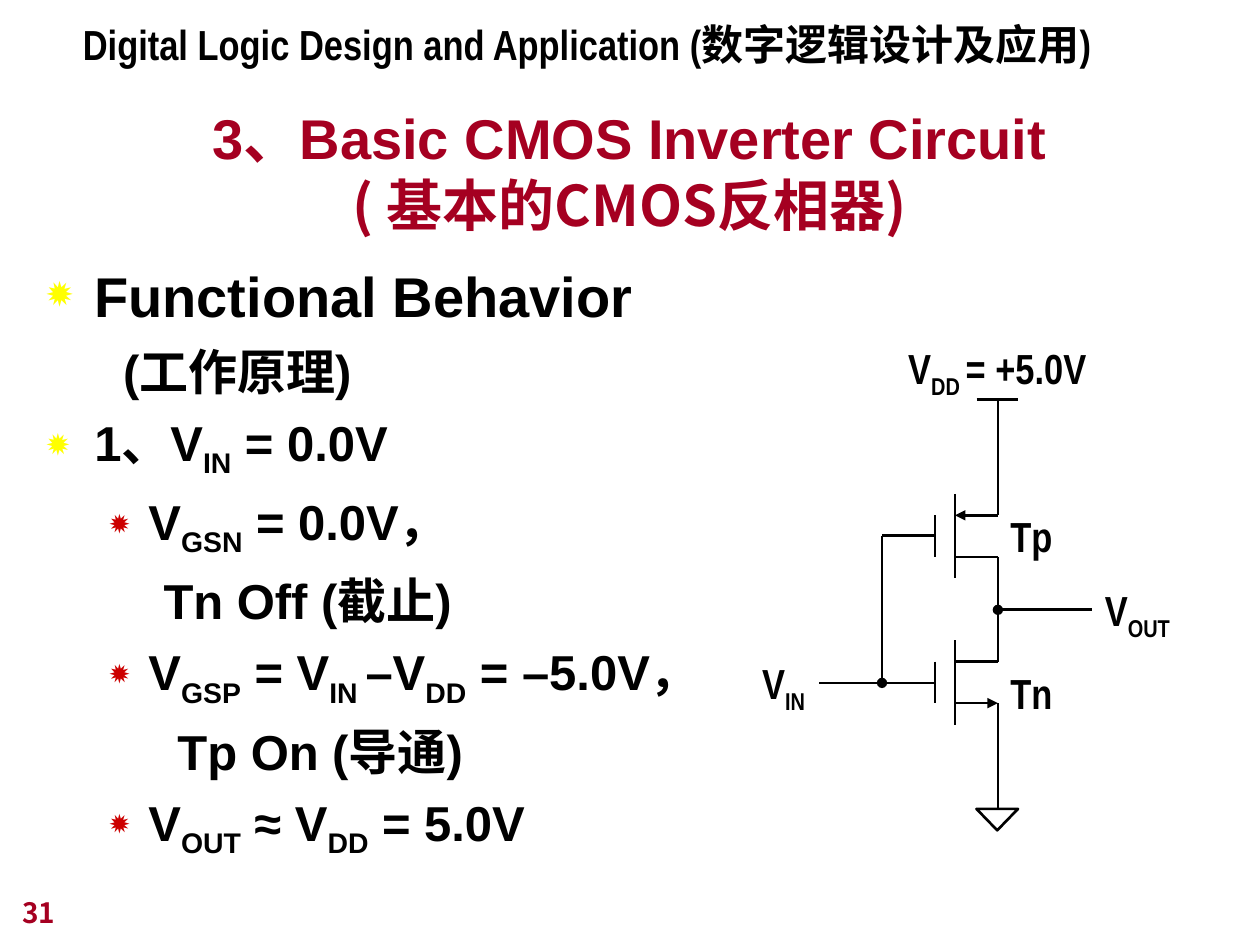
from lxml.etree import SubElement
from pptx import Presentation
from pptx.dml.color import RGBColor
from pptx.enum.shapes import MSO_CONNECTOR, MSO_SHAPE
from pptx.enum.text import MSO_ANCHOR as Anchor, MSO_AUTO_SIZE as AutoSize, PP_ALIGN as Align
from pptx.oxml.ns import qn
from pptx.util import Pt

PX = 9144  # 100 px to the inch
COLORS = {"ink": "000000", "title": "A50021", "main": "FFFF00", "sub": "CC0000"}
SANS, NARROW, CJK = "Arial", "Arial Narrow", "Noto Sans CJK JP"


def rgb(name):
    return RGBColor.from_string(COLORS[name])


class SlideBuilder:
    def __init__(self, slide):
        self.slide = slide
        self.shapes = slide.shapes

    def start_group(self):
        self.shapes = self.slide.shapes.add_group_shape().shapes

    def end_group(self):
        self.shapes = self.slide.shapes

    def add_runs(self, paragraph, text, size, font=SANS, color="ink"):
        """Add runs; every second part between bars is a subscript."""
        for index, part in enumerate(text.split("|")):
            if not part:
                continue
            run = paragraph.add_run()
            run.text = part
            values = {"size": Pt(size), "bold": True, "name": font}
            for key, value in values.items():
                setattr(run.font, key, value)
            run.font.color.rgb = rgb(color)
            properties = run._r.get_or_add_rPr()
            SubElement(properties, qn("a:ea"), typeface=CJK)
            if index % 2:
                properties.set("baseline", "-25000")

    def frame(self, shape, wrap=True, anchor=Anchor.TOP):
        values = {"word_wrap": wrap, "auto_size": AutoSize.NONE, "vertical_anchor": anchor}
        for key, value in values.items():
            setattr(shape.text_frame, key, value)
        return shape.text_frame

    def place(self, shape, *box):
        for key, value in zip(("left", "top", "width", "height"), box):
            setattr(shape, key, value * PX)

    def title(self, box, lines, size):
        shape = self.slide.shapes.title
        self.place(shape, *box)
        paragraph = self.frame(shape, anchor=Anchor.BOTTOM).paragraphs[0]
        paragraph.alignment = Align.CENTER
        for index, (text, font) in enumerate(lines):
            if index:
                paragraph.add_line_break()
            self.add_runs(paragraph, text, size, font, "title")

    def label(self, box, text, size=24, font=NARROW, color="ink", wrap=False, anchor=Anchor.TOP):
        shape = self.shapes.add_textbox(*(value * PX for value in box))
        self.add_runs(self.frame(shape, wrap, anchor).paragraphs[0], text, size, font, color)

    def outline(self, box, items):
        frame = self.frame(self.shapes.add_textbox(*(value * PX for value in box)))
        for index, (text, size, margin, hanging, bullet) in enumerate(items):
            paragraph = frame.paragraphs[0]
            if index:
                paragraph = frame.add_paragraph()
                paragraph.space_before = Pt(7)
            properties = paragraph._p.get_or_add_pPr()
            properties.set("marL", str(margin * PX))
            properties.set("indent", str(-hanging * PX))
            if bullet:
                color, percent = bullet
                holder = SubElement(properties, qn("a:buClr"))
                SubElement(holder, qn("a:srgbClr"), val=COLORS[color])
                SubElement(properties, qn("a:buSzPct"), val=str(percent * 1000))
                SubElement(properties, qn("a:buChar"), char="✹")
            self.add_runs(paragraph, text, size)

    def wire(self, start, end, head=None, tail=None):
        points = (value * PX for value in (*start, *end))
        connector = self.shapes.add_connector(MSO_CONNECTOR.STRAIGHT, *points)
        connector.line.color.rgb = rgb("ink")
        connector.line.width = Pt(1.5)
        properties = connector._element.spPr
        for tag, kind in (("a:headEnd", head), ("a:tailEnd", tail)):
            if kind:
                SubElement(properties.find(qn("a:ln")), qn(tag), type=kind)
        SubElement(properties, qn("a:effectLst"))

    def ground(self, *box):
        shape = self.shapes.add_shape(
            MSO_SHAPE.FLOWCHART_MERGE, *(value * PX for value in box))
        shape.shadow.inherit = False
        shape.fill.background()
        shape.line.color.rgb = rgb("ink")
        shape.line.width = Pt(1.5)

    def transistor(self, top, head=None, tail=None):
        """Gate plate, channel, and the two channel contacts."""
        upper, lower = top + 17, top + 50
        self.wire((742, upper), (742, lower))
        self.wire((758, top), (758, top + 67))
        self.wire((758, upper), (792, upper), head=head)
        self.wire((758, lower), (792, lower), tail=tail)


def main():
    presentation = Presentation()
    presentation.slide_width, presentation.slide_height = 1000 * PX, 750 * PX
    builder = SlideBuilder(presentation.slides.add_slide(presentation.slide_layouts[5]))

    # Course header, title and page number
    builder.label((56, 10, 837, 50), "Digital Logic Design and Application (数字逻辑设计及应用)")
    builder.title((75, 84, 850, 110), [
        ("3、Basic CMOS Inverter Circuit", SANS), ("( 基本的CMOS反相器)", CJK)], 32)
    builder.label((8, 692, 208, 50), "31", 16, CJK, "title", True, Anchor.BOTTOM)

    # Functional behaviour: text, size, margin, hanging indent, bullet
    main_bullet, sub_bullet = ("main", 80), ("sub", 70)
    builder.outline((27, 203, 583, 511), [
        ("Functional Behavior", 32, 38, 38, main_bullet),
        ("(工作原理)", 28, 61, 0, None),
        ("1、V|IN| = 0.0V", 28, 38, 38, main_bullet),
        ("V|GSN| = 0.0V，", 28, 81, 31, sub_bullet),
        ("Tn Off (截止)", 28, 93, 0, None),
        ("V|GSP| = V|IN |–V|DD| = –5.0V，", 28, 81, 31, sub_bullet),
        ("Tp On (导通)", 28, 104, 0, None),
        ("V|OUT| ≈ V|DD| = 5.0V", 28, 81, 31, sub_bullet),
    ])

    # Inverter circuit
    builder.start_group()
    builder.transistor(392, head="triangle")
    builder.transistor(508, tail="triangle")
    for start, end in (
        ((775, 317), (808, 317)),  # supply bar
        ((792, 317), (792, 409)),  # supply to Tp
        ((792, 442), (792, 525)),  # Tp to Tn
        ((792, 558), (792, 642)),  # Tn to ground
        ((700, 425), (742, 425)),  # Tp gate
        ((650, 542), (742, 542)),  # input and Tn gate
    ):
        builder.wire(start, end)
    builder.wire((792, 484), (867, 484), head="oval")
    builder.wire((700, 425), (700, 542), tail="oval")
    builder.ground(775, 642, 33, 17)

    # Circuit labels
    for box, text in (
        ((711, 267, 161, 56), "V|DD |= +5.0V"),
        ((867, 459, 71, 56), "V|OUT"),
        ((595, 517, 54, 56), "V|IN"),
        ((792, 400, 53, 50), "Tp"),
        ((792, 525, 53, 50), "Tn"),
    ):
        builder.label(box, text)
    builder.end_group()

    presentation.save("out.pptx")


if __name__ == "__main__":
    main()
